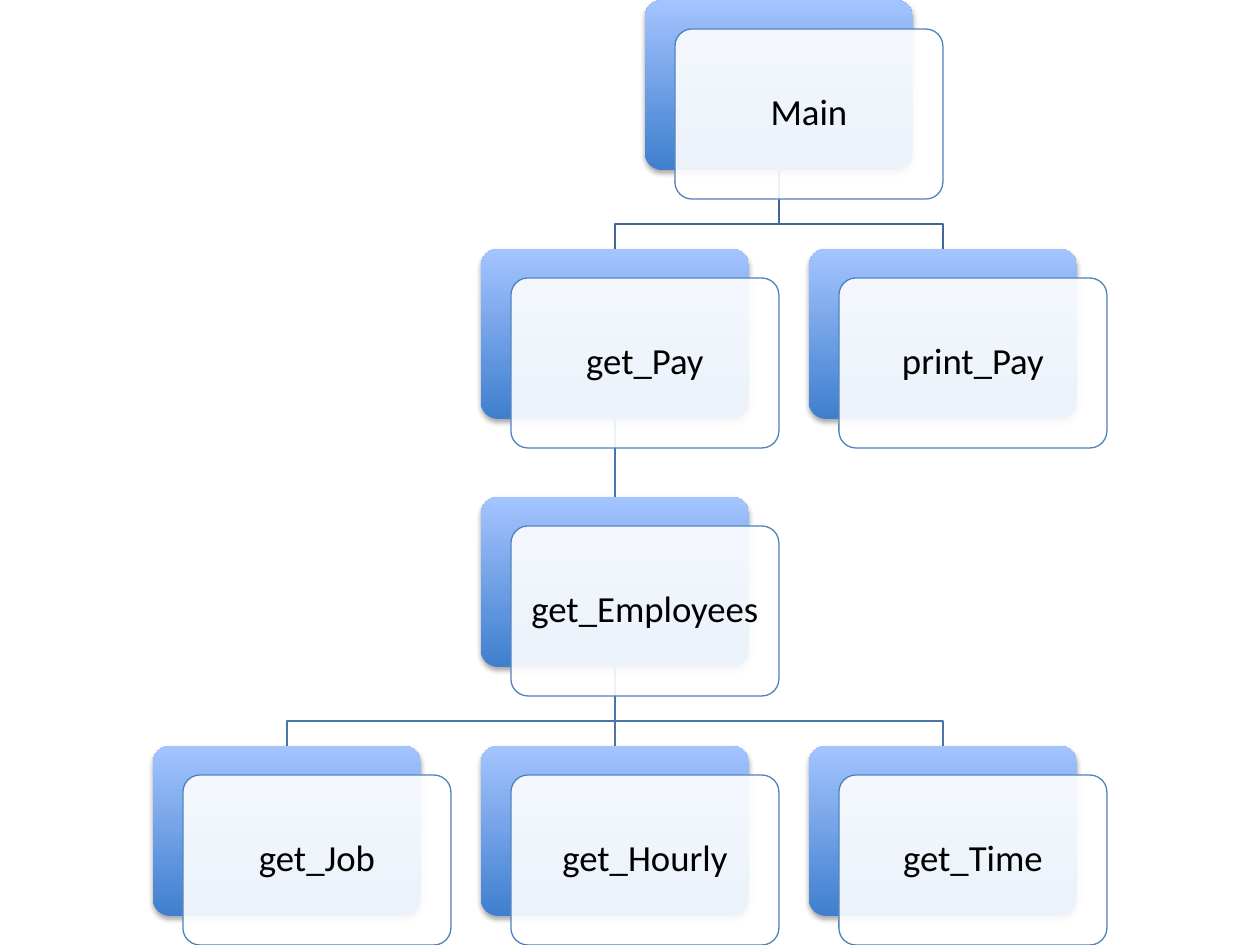
"""Build a one-slide chart of function calls with layered cards."""
from lxml.etree import SubElement
from pptx import Presentation
from pptx.dml.color import RGBColor
from pptx.enum.shapes import MSO_SHAPE as Shape
from pptx.enum.text import MSO_ANCHOR as Anchor, PP_ALIGN as Align
from pptx.oxml.ns import qn
from pptx.util import Pt

COLORS = {"deep": "3F7FCE", "pale": "A4C4FF", "outline": "4F81BD", "card": "FFFFFF",
          "text": "000000", "shadow": "000000", "upper_link": "3F6797", "lower_link": "4875AC"}
NODES = {
    "Main": (1.5, 0),
    "get_Pay": (1, 1),
    "get_Employees": (1, 2),
    "get_Job": (0, 3),
    "get_Hourly": (1, 3),
    "get_Time": (2, 3),
    "print_Pay": (2, 1),
}
LINKS = [
    ("Main", "print_Pay", "upper_link"),
    ("get_Employees", "get_Time", "lower_link"),
    ("get_Employees", "get_Hourly", "lower_link"),
    ("get_Employees", "get_Job", "lower_link"),
    ("get_Pay", "get_Employees", "lower_link"),
    ("Main", "get_Pay", "upper_link"),
]
EMU = 914400 // 126
SLIDE_W, SLIDE_H = 1260, 945
LEFT, COLUMN_STEP, LAST_TOP = 153, 328, 746
CARD_W, CARD_H = 268, 170
SHIFT_X, SHIFT_Y = 30, 29
ELBOW_DROP, INSET = 54, 11


def px(value):
    return round(value * EMU)


def rgb(name):
    return RGBColor.from_string(COLORS[name])


def corner(name):
    column, row = NODES[name]
    return LEFT + column * COLUMN_STEP, round(LAST_TOP * row / 3)


def style_line(line, color):
    line.color.rgb = rgb(color)
    line.width = Pt(0.75)


def add_link(shapes, parent, child, color):
    (x1, y1), (x2, y2) = corner(parent), corner(child)
    x1, x2, y1 = x1 + CARD_W / 2, x2 + CARD_W / 2, y1 + CARD_H
    bend = y1 + ELBOW_DROP
    elbow = [] if x1 == x2 else [(x1, bend), (x2, bend)]
    builder = shapes.build_freeform(x1, y1, scale=EMU)
    builder.add_line_segments(elbow + [(x2, y2)], close=False)
    link = builder.convert_to_shape()
    link.fill.background()
    link.shadow.inherit = False
    style_line(link.line, color)


def add_card(shapes, x, y):
    card = shapes.add_shape(Shape.ROUNDED_RECTANGLE, px(x), px(y), px(CARD_W), px(CARD_H))
    card.adjustments[0] = 0.1
    card.shadow.inherit = False
    return card


def add_back(shapes, x, y):
    back = add_card(shapes, x, y)
    back.line.fill.background()
    back.fill.gradient()
    back.fill.gradient_angle = 90
    for stop, color in zip(back.fill.gradient_stops, ("deep", "pale")):
        stop.color.rgb = rgb(color)
    effects = back._element.spPr.find(qn("a:effectLst"))
    shadow = SubElement(effects, qn("a:outerShdw"), blurRad=str(Pt(3.1)), dist=str(Pt(1.8)),
                        dir="5400000", rotWithShape="0")
    tint = SubElement(shadow, qn("a:srgbClr"), val=COLORS["shadow"])
    SubElement(tint, qn("a:alpha"), val="35000")


def add_front(shapes, x, y, label):
    front = add_card(shapes, x + SHIFT_X, y + SHIFT_Y)
    front.fill.solid()
    front.fill.fore_color.rgb = rgb("card")
    tint = front._element.spPr.find(qn("a:solidFill")).find(qn("a:srgbClr"))
    SubElement(tint, qn("a:alpha"), val="90000")
    style_line(front.line, "outline")
    frame = front.text_frame
    frame.word_wrap = True
    frame.vertical_anchor = Anchor.MIDDLE
    frame.margin_left = frame.margin_right = px(INSET)
    frame.margin_top = frame.margin_bottom = px(INSET)
    para = frame.paragraphs[0]
    para.alignment = Align.CENTER
    para.line_spacing = 0.9
    span = para.add_run()
    span.text = label
    span.font.name = "Calibri"
    span.font.size = Pt(21)
    span.font.color.rgb = rgb("text")


deck = Presentation()
deck.slide_width, deck.slide_height = px(SLIDE_W), px(SLIDE_H)
page = deck.slides.add_slide(deck.slide_layouts[6])
for parent, child, color in LINKS:
    add_link(page.shapes, parent, child, color)
for label in NODES:
    x, y = corner(label)
    add_back(page.shapes, x, y)
    add_front(page.shapes, x, y, label)
deck.save("out.pptx")
